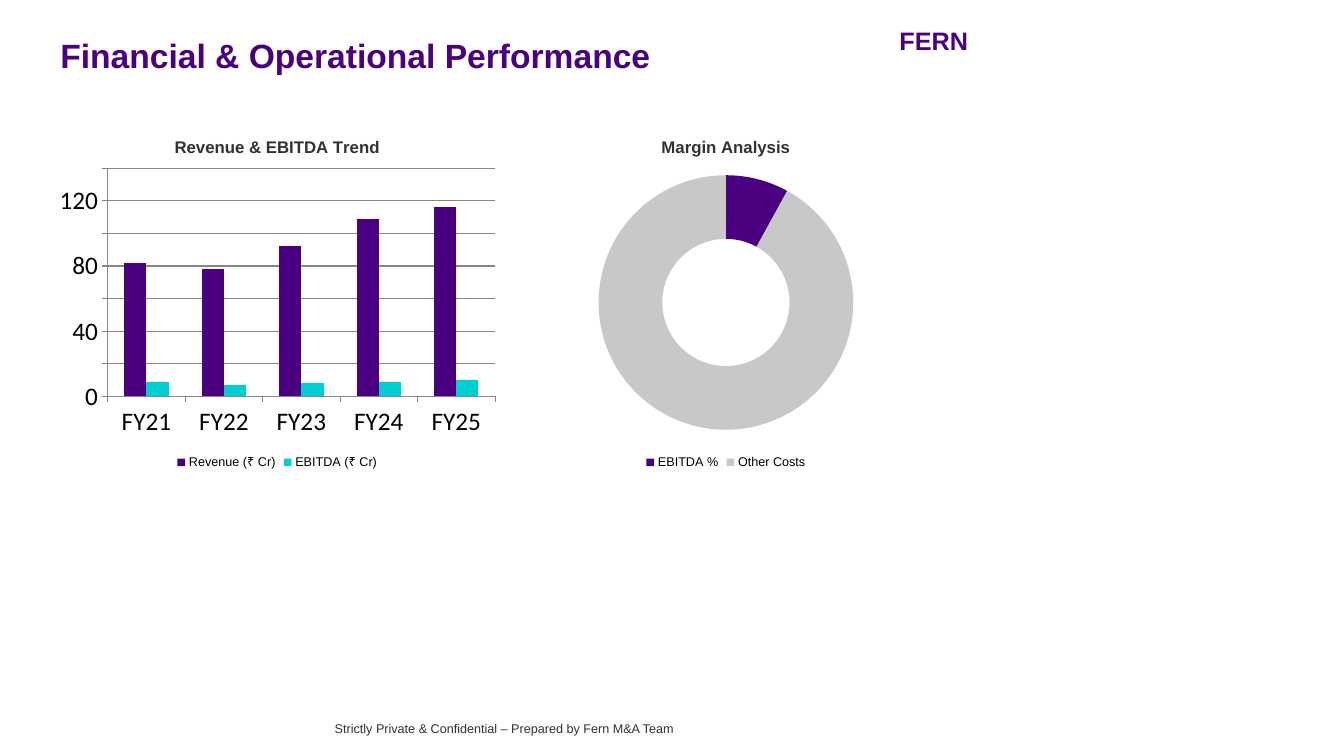
from pptx import Presentation
from pptx.chart.data import CategoryChartData
from pptx.dml.color import RGBColor
from pptx.enum.chart import XL_CHART_TYPE, XL_LEGEND_POSITION, XL_TICK_MARK
from pptx.enum.text import PP_ALIGN
from pptx.util import Emu, Pt

PX = 9144  # 100 px to the inch
INDIGO = RGBColor(0x4B, 0x00, 0x82)
TURQUOISE = RGBColor(0x00, 0xCE, 0xD1)
SILVER = RGBColor(0xC8, 0xC8, 0xC8)
CHARCOAL = RGBColor(0x32, 0x32, 0x32)
BLACK = RGBColor(0x00, 0x00, 0x00)
WHITE = RGBColor(0xFF, 0xFF, 0xFF)
GREY = RGBColor(0x86, 0x86, 0x86)

LEFT, CENTER, RIGHT = PP_ALIGN.LEFT, PP_ALIGN.CENTER, PP_ALIGN.RIGHT
COLUMNS, DOUGHNUT = XL_CHART_TYPE.COLUMN_CLUSTERED, XL_CHART_TYPE.DOUGHNUT
BOTTOM = XL_LEGEND_POSITION.BOTTOM
TICK_OUTSIDE = XL_TICK_MARK.OUTSIDE


def px(*lengths):
    return [Emu(length * PX) for length in lengths]


def paint(format_, color):
    format_.fill.solid()
    format_.fill.fore_color.rgb = color


class PageBuilder:
    font_name = "Arial"
    chart_font_name = "Calibri"

    def __init__(self, page):
        self.page = page
        page.background.fill.solid()
        page.background.fill.fore_color.rgb = WHITE

    def style(self, font, size, color, bold=False, name=font_name):
        font.name, font.size, font.bold = name, Pt(size), bold
        font.color.rgb = color

    def text(self, words, area, size, color, bold=False, align=LEFT):
        frame = self.page.shapes.add_textbox(*px(*area)).text_frame
        frame.word_wrap = True
        para = frame.paragraphs[0]
        para.text = words
        para.alignment = align
        self.style(para.font, size, color, bold)

    def chart(self, kind, title, area, categories, series):
        """Add a titled chart with a bottom legend; series maps names to values."""
        data = CategoryChartData()
        data.categories = categories
        for name, values in series.items():
            data.add_series(name, values)
        chart = self.page.shapes.add_chart(kind, *px(*area), data).chart
        self.style(chart.font, 18, BLACK, name=self.chart_font_name)
        heading = chart.chart_title.text_frame.paragraphs[0]
        heading.text = title
        self.style(heading.font, 12, CHARCOAL, bold=True)
        chart.has_legend = True
        chart.legend.position = BOTTOM
        chart.legend.include_in_layout = False
        self.style(chart.legend.font, 9, BLACK)
        return chart

    def column_chart(self, title, area, categories, series, colors):
        chart = self.chart(COLUMNS, title, area, categories, series)
        plot = chart.plots[0]
        plot.vary_by_categories = False
        plot.gap_width = 150
        for bars, color in zip(plot.series, colors):
            paint(bars.format, color)
        for axis in (chart.category_axis, chart.value_axis):
            axis.major_tick_mark = TICK_OUTSIDE
            axis.format.line.color.rgb = GREY
        chart.value_axis.has_major_gridlines = True
        chart.value_axis.major_gridlines.format.line.color.rgb = GREY

    def doughnut_chart(self, title, area, categories, series, colors):
        chart = self.chart(DOUGHNUT, title, area, categories, series)
        ring = chart.plots[0].series[0]
        for index, color in enumerate(colors):
            paint(ring.points[index].format, color)


def main():
    deck = Presentation()
    deck.slide_width, deck.slide_height = px(1333, 750)
    builder = PageBuilder(deck.slides.add_slide(deck.slide_layouts[6]))

    builder.text("Financial & Operational Performance", (50, 30, 900, 60),
                 24, INDIGO, bold=True)
    builder.text("FERN", (850, 20, 120, 40), 18, INDIGO, bold=True, align=RIGHT)
    builder.column_chart(
        "Revenue & EBITDA Trend", (50, 120, 450, 350),
        ["FY21", "FY22", "FY23", "FY24", "FY25"],
        {"Revenue (₹ Cr)": [82, 78, 92, 109, 116],
         "EBITDA (₹ Cr)": [9, 7, 8, 9, 10]},
        [INDIGO, TURQUOISE])
    builder.doughnut_chart(
        "Margin Analysis", (520, 120, 400, 350),
        ["EBITDA %", "Other Costs"], {"Series 1": [8, 92]}, [INDIGO, SILVER])
    builder.text("Strictly Private & Confidential – Prepared by Fern M&A Team",
                 (0, 710, 1000, 30), 9, CHARCOAL, align=CENTER)
    deck.save("out.pptx")


if __name__ == "__main__":
    main()
